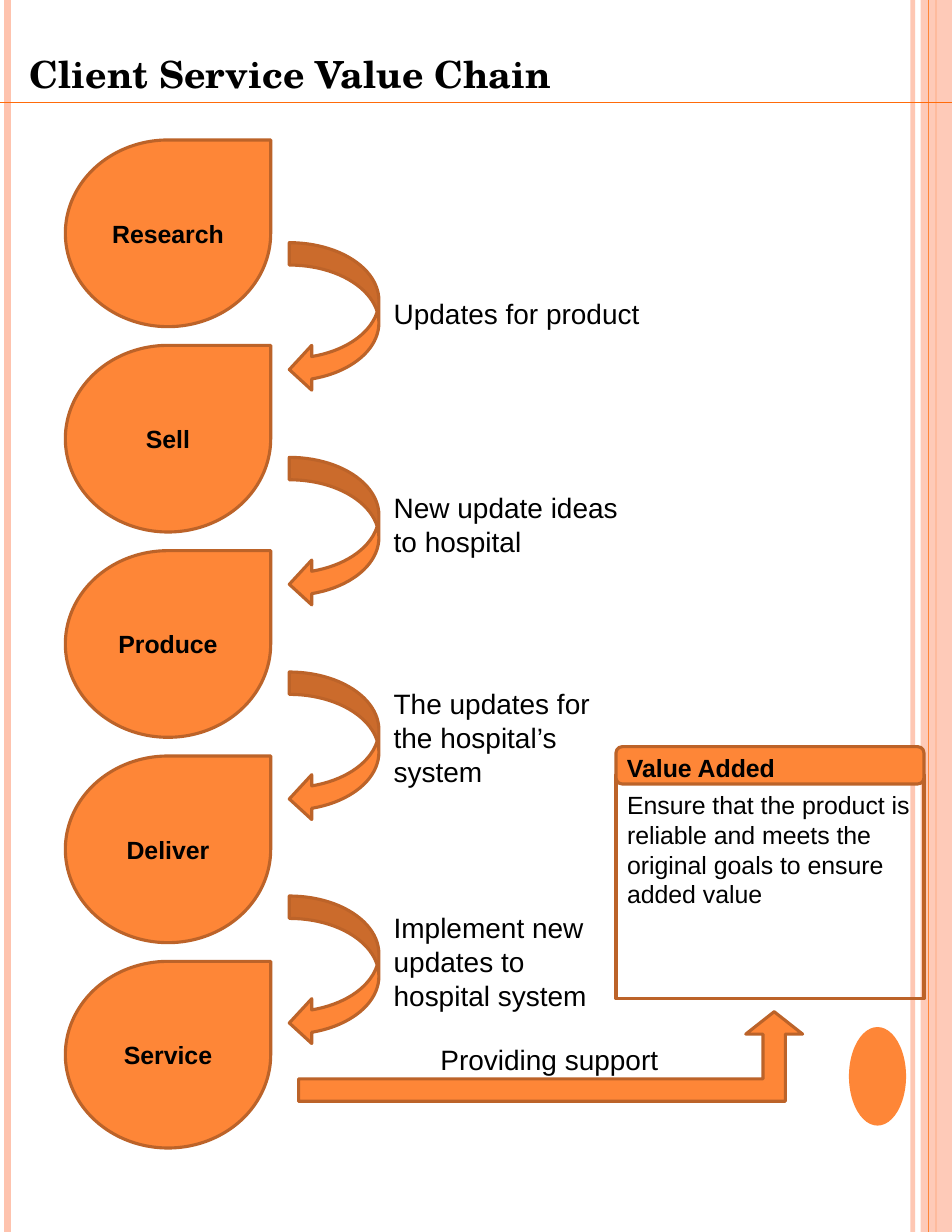
import pptx
import pptx.dml.color
import pptx.enum.shapes
import pptx.enum.text
import pptx.oxml.ns
import pptx.util
from lxml import etree

SHAPE = pptx.enum.shapes.MSO_SHAPE
ALIGN = pptx.enum.text.PP_ALIGN
ANCHOR = pptx.enum.text.MSO_ANCHOR
ORANGE, BROWN, PEACH, BLACK = "FE8637", "BC6329", "FEC3AE", "000000"

# Page on a grid of twelve columns and rows to the inch
CELL = pptx.util.Inches(1) // 12
COLUMNS, ROWS = 102, 132
deck = pptx.Presentation()
deck.slide_width, deck.slide_height = COLUMNS * CELL, ROWS * CELL
page = deck.slides.add_slide(deck.slide_layouts[6])


def paint(fill, colour, opacity=100):
    fill.solid()
    fill.fore_color.rgb = pptx.dml.color.RGBColor.from_string(colour)
    if opacity < 100:
        tint = fill._xPr.find(".//" + pptx.oxml.ns.qn("a:srgbClr"))
        etree.SubElement(tint, pptx.oxml.ns.qn("a:alpha"), val=str(opacity * 1000))


def write(box, text, size=18, font="Arial", bold=False, align=ALIGN.LEFT,
          anchor=ANCHOR.TOP, wrap=True):
    frame = box.text_frame
    frame.word_wrap, frame.vertical_anchor = wrap, anchor
    para = frame.paragraphs[0]
    para.alignment = align
    span = para.add_run()
    span.text = text
    span.font.name, span.font.size, span.font.bold = font, pptx.util.Pt(size), bold
    paint(span.font.fill, BLACK)


# Side rails, from back to front: column, colour, weight, opacity
rails = [(97.8, PEACH, 3, 93), (0.84, PEACH, 4.5, 100),
         (100.32, ORANGE, 1.5, 100), (99.48, ORANGE, 0.75, 100)]
rules = [(x, 0, x, ROWS, *style) for x, *style in rails]
rules.append((0, 11, COLUMNS, 11, "FF6B0A", 1, 100))
for left, top, right, bottom, colour, weight, opacity in rules:
    # The wide band lies just behind the thinnest rail
    if weight == 0.75:
        band = page.shapes.add_shape(SHAPE.RECTANGLE, int(98.64 * CELL), 0,
                                     int(3.36 * CELL), ROWS * CELL)
        band.shadow.inherit = False
        paint(band.fill, PEACH, 87)
        band.line.fill.background()
    rule = page.shapes.add_connector(
        pptx.enum.shapes.MSO_CONNECTOR.STRAIGHT,
        *(int(n * CELL) for n in (left, top, right, bottom)))
    etree.SubElement(rule._element.spPr, pptx.oxml.ns.qn("a:effectLst"))
    rule.line.width = pptx.util.Pt(weight)
    paint(rule.line.fill, colour, opacity)

# Shapes: kind, left, top, width, height, fill, outline, label
steps = ["Research", "Sell", "Produce", "Deliver", "Service"]
arrow_rows = [26, 49, 72, 96]
parts = [
    (SHAPE.OVAL, 90.96, 110.04, 6.12, 10.56, ORANGE, None, None),
    (SHAPE.RECTANGLE, 66, 83, 33, 24, None, BROWN, None),
    (SHAPE.ROUNDED_RECTANGLE, 66, 80, 33, 4, ORANGE, BROWN, None),
]
parts += [(SHAPE.TEAR, 7, 15 + 22 * i, 22, 20, ORANGE, BROWN, step)
          for i, step in enumerate(steps)]
parts += [(SHAPE.CURVED_LEFT_ARROW, 31, row, 9.6, 16, ORANGE, BROWN, None)
          for row in arrow_rows]
parts.append((SHAPE.BENT_UP_ARROW, 32, 108.4, 54, 9.6, ORANGE, BROWN, None))
for kind, left, top, width, height, fill, outline, label in parts:
    shape = page.shapes.add_shape(
        kind, *(int(n * CELL) for n in (left, top, width, height)))
    shape.shadow.inherit = False
    if fill:
        paint(shape.fill, fill)
    else:
        shape.fill.background()
    if outline:
        paint(shape.line.fill, outline)
        shape.line.width = pptx.util.Pt(2)
    else:
        shape.line.fill.background()
    if kind == SHAPE.BENT_UP_ARROW:
        shape.adjustments[1] = 0.317
    if label:
        write(shape, label, size=16, bold=True, align=ALIGN.CENTER,
              anchor=ANCHOR.MIDDLE)

# Title, value box and arrow captions: left, top, width, height, text, format
captions = [
    (2, 4.9, 96, 6.1, "Client Service Value Chain",
     {"size": 24, "font": "TeX Gyre Schola", "bold": True}),
    (66, 80, 31, 4.4, "Value Added", {"size": 16, "bold": True}),
    (66, 84, 33, 14.2, "Ensure that the product is reliable and meets the "
     "original goals to ensure added value", {"size": 16}),
    (41, 31.2, 29, 4.8, "Updates for product", {"wrap": False}),
    (41, 52, 28, 8.5, "New update ideas to hospital", {}),
    (41, 73, 28, 12.1, "The updates for the hospital’s system", {}),
    (41, 97, 25, 12.1, "Implement new updates to hospital system", {}),
    (46, 111.1, 26, 4.8, "Providing support", {"wrap": False}),
]
for left, top, width, height, text, style in captions:
    box = page.shapes.add_textbox(
        *(int(n * CELL) for n in (left, top, width, height)))
    write(box, text, **style)

deck.save("out.pptx")
